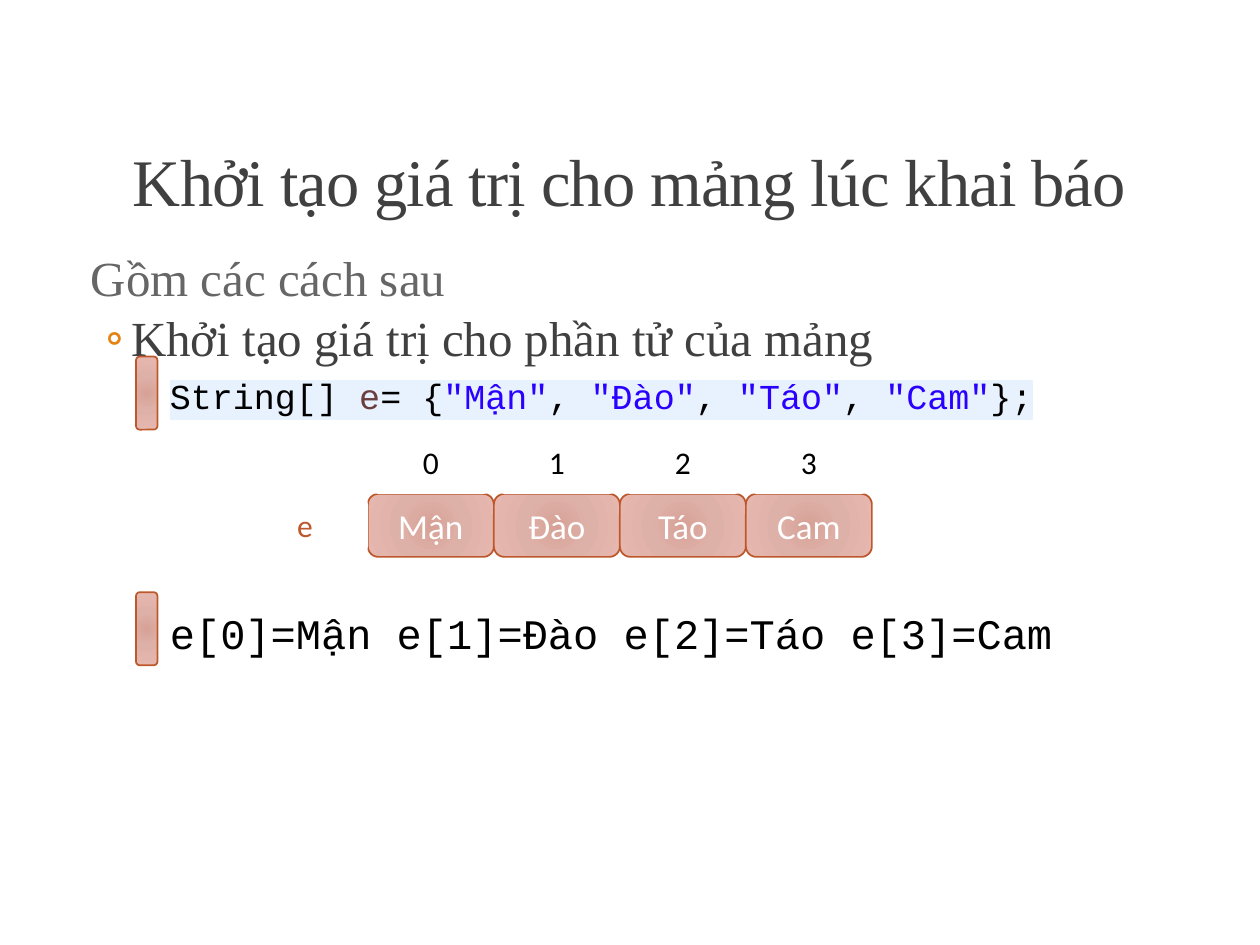
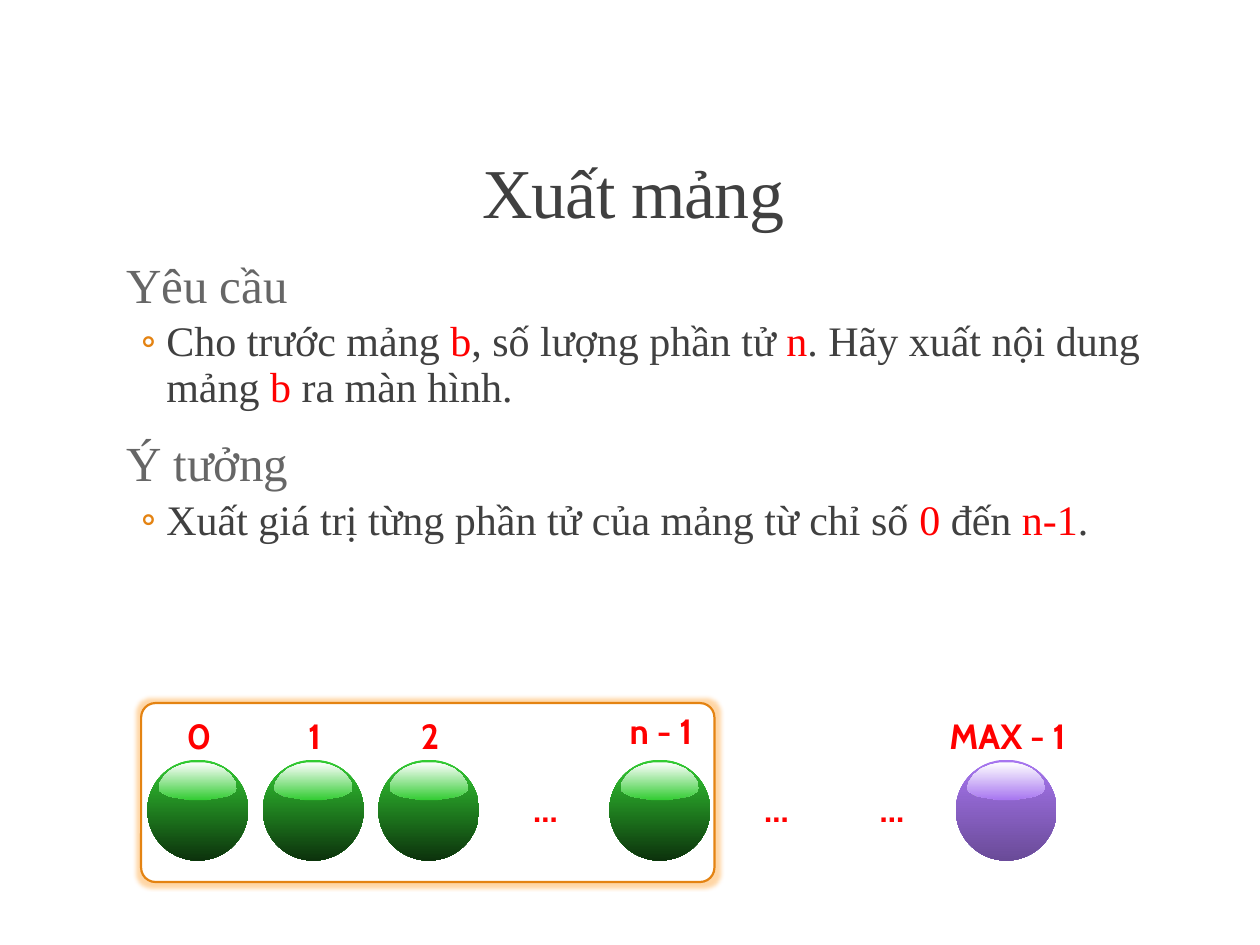
from dataclasses import dataclass

from lxml import etree
from pptx import Presentation
from pptx import util as u
from pptx.dml.color import RGBColor
from pptx.enum import shapes, text
from pptx.oxml import parse_xml
from pptx.oxml.ns import nsdecls, qn

Inches, Pt = u.Inches, u.Pt


@dataclass(frozen=True)
class Theme:
    serif: str = "Times New Roman"
    sans: str = "Calibri"
    mono: str = "Courier New"
    label: str = "Cabin"
    white: str = "FFFFFF"
    black: str = "000000"
    dark: str = "404040"
    gray: str = "666666"
    orange: str = "E48312"
    glow: str = "FF9A20"
    rust: str = "BD582C"
    red: str = "FF0000"
    variable: str = "6A3E3E"
    string: str = "2A00FF"
    highlight: str = "E8F2FE"
    clay: tuple = ((0, "D7A197"), (45, "DEB1A8"), (100, "E6B7AE"))
    green: tuple = ("33CC33", "0C320C")
    purple: tuple = ("A776F0", "6A4B98")
    title: int = 40
    long_title: int = 38
    heading: int = 28
    body: int = 24
    small: int = 20
    index: int = 18


THEME = Theme()
CENTER = text.PP_ALIGN.CENTER
MIDDLE = {"vertical_anchor": text.MSO_ANCHOR.MIDDLE, "word_wrap": False}
GROW = {"word_wrap": True, "auto_size": text.MSO_AUTO_SIZE.SHAPE_TO_FIT_TEXT}
TITLE_FRAME = {"word_wrap": True, "vertical_anchor": text.MSO_ANCHOR.BOTTOM}
BODY_FRAME = {"word_wrap": True, "margin_left": 0, "margin_right": 0}
HEADING = {"line_spacing": 0.9, "space_before": Pt(12), "space_after": Pt(2)}
POINT = {"line_spacing": 0.9, "space_before": Pt(2), "space_after": Pt(4)}

# Right half of the sphere's gloss, in hundredths of an inch from its top centre.
GLOSS_HALF = [(5, 0), (13, 2), (20, 5), (26, 10), (30, 16), (31, 21), (30, 23),
              (27, 25), (23, 27), (18, 28), (11, 29), (7, 30)]


def apply(target, values):
    for name, value in values.items():
        setattr(target, name, value)


def box(left, top, width, height):
    return [Inches(side) for side in (left, top, width, height)]


class Deck:
    def __init__(self, theme):
        self.theme = theme
        self.prs = Presentation()
        self.prs.slide_width, self.prs.slide_height = Inches(10), Inches(7.5)
        self.slide = None

    def new_slide(self):
        self.slide = self.prs.slides.add_slide(self.prs.slide_layouts[6])

    def add_runs(self, paragraph, runs, font, size, bold=False, highlight=None, spacing=None):
        """Add runs, each a pair of wording and colour, to the paragraph."""
        for wording, color in runs:
            run = paragraph.add_run()
            run.text = wording
            apply(run.font, {"name": font, "size": Pt(size), "bold": bold})
            run.font.color.rgb = RGBColor.from_string(color)
            props = run._r.get_or_add_rPr()
            if spacing:
                props.set("spc", str(spacing))
            if highlight:
                mark = parse_xml(f'<a:highlight {nsdecls("a")}>'
                                 f'<a:srgbClr val="{highlight}"/></a:highlight>')
                props.find(qn("a:latin")).addprevious(mark)

    def line(self, at, runs, font, size, frame=GROW, layout=None, **style):
        """Add a text box that holds one paragraph."""
        area = self.slide.shapes.add_textbox(*box(*at)).text_frame
        apply(area, frame)
        paragraph = area.paragraphs[0]
        apply(paragraph, layout or {})
        self.add_runs(paragraph, runs, font, size, **style)

    def title(self, at, wording, size):
        self.line(at, [(wording, self.theme.dark)], self.theme.serif, size, TITLE_FRAME,
                  {"alignment": CENTER, "line_spacing": 0.85}, spacing=-50)

    def outline(self, at, items):
        """Add headings (plain strings) and bullet points (size and runs)."""
        area = self.slide.shapes.add_textbox(*box(*at)).text_frame
        apply(area, BODY_FRAME)
        for number, item in enumerate(items):
            paragraph = area.add_paragraph() if number else area.paragraphs[0]
            props = paragraph._p.get_or_add_pPr()
            if isinstance(item, str):
                apply(paragraph, HEADING)
                props.set("marL", str(Inches(0.1)))
                self.add_runs(paragraph, [(item, self.theme.gray)],
                              self.theme.serif, self.theme.heading)
                continue
            size, runs = item
            apply(paragraph, {**POINT, "level": 1})
            props.set("marL", str(Inches(0.42)))
            props.set("indent", str(Inches(-0.2)))
            color = etree.SubElement(props, qn("a:buClr"))
            etree.SubElement(color, qn("a:srgbClr"), val=self.theme.orange)
            etree.SubElement(props, qn("a:buFont"), typeface=self.theme.sans)
            etree.SubElement(props, qn("a:buChar"), char="◦")
            self.add_runs(paragraph, runs, self.theme.serif, size)

    def paint(self, shape, fill, border=None, width=1):
        shape.shadow.inherit = False
        shape.fill.solid()
        shape.fill.fore_color.rgb = RGBColor.from_string(fill)
        if border:
            shape.line.color.rgb = RGBColor.from_string(border)
            shape.line.width = Pt(width)
        else:
            shape.line.fill.background()

    def blend(self, shape, stops, radial=False):
        """Replace the solid fill by a gradient, downward or from the centre."""
        marks = "".join(f'<a:gs pos="{place * 1000}"><a:srgbClr val="{color}"/></a:gs>'
                        for place, color in stops)
        course = ('<a:path path="circle"><a:fillToRect l="100000" t="100000" '
                  'r="100000" b="100000"/></a:path>' if radial
                  else '<a:lin ang="5400000" scaled="0"/>')
        gradient = parse_xml(f'<a:gradFill {nsdecls("a")} rotWithShape="1">'
                             f'<a:gsLst>{marks}</a:gsLst>{course}</a:gradFill>')
        props = shape._element.spPr
        props.replace(props.find(qn("a:solidFill")), gradient)

    def rounded(self, at, fill, border=None, width=1):
        shape = self.slide.shapes.add_shape(shapes.MSO_SHAPE.ROUNDED_RECTANGLE, *box(*at))
        self.paint(shape, fill, border, width)
        return shape

    def clay(self, at):
        shape = self.rounded(at, self.theme.clay[0][1], self.theme.rust)
        self.blend(shape, self.theme.clay, radial=True)
        return shape

    def caption(self, shape, wording, size, color):
        apply(shape.text_frame, MIDDLE)
        paragraph = shape.text_frame.paragraphs[0]
        paragraph.alignment = CENTER
        self.add_runs(paragraph, [(wording, color)], self.theme.sans, size)

    def index_label(self, at, wording, color):
        self.caption(self.rounded(at, self.theme.white), wording, self.theme.index, color)

    def glowing_frame(self, at):
        frame = self.rounded(at, self.theme.white, self.theme.orange, 1.25)
        frame.adjustments[0] = 0.08
        effects = frame._element.spPr.find(qn("a:effectLst"))
        glow = etree.SubElement(effects, qn("a:glow"), rad=str(Pt(5)))
        color = etree.SubElement(glow, qn("a:srgbClr"), val=self.theme.glow)
        etree.SubElement(color, qn("a:alpha"), val="40000")

    def sphere(self, left, top, colors):
        light, deep = colors
        group = self.slide.shapes.add_group_shape()
        ball = group.shapes.add_shape(shapes.MSO_SHAPE.OVAL, *box(left, top, 0.8, 0.8))
        mirrored = [(-x, y) for x, y in reversed(GLOSS_HALF)]
        start, *rest = GLOSS_HALF + mirrored
        builder = group.shapes.build_freeform(*start, scale=Inches(0.01))
        builder.add_line_segments(rest, close=True)
        gloss = builder.convert_to_shape(Inches(left + 0.4), Inches(top + 0.02))
        for shape, ends in ((ball, (light, deep)), (gloss, (self.theme.white, light))):
            self.paint(shape, light)
            self.blend(shape, zip((0, 100), ends))

    def red_label(self, center, top, width, wording):
        self.line((center - width / 2, top, width, 0.44), [(wording, self.theme.red)],
                  self.theme.label, self.theme.small, layout={"alignment": CENTER}, bold=True)


def array_initialisation(deck):
    theme = deck.theme
    fruits = ["Mận", "Đào", "Táo", "Cam"]
    deck.new_slide()
    deck.title((0.62, 1.03, 8.75, 0.77), "Khởi tạo giá trị cho mảng lúc khai báo",
               theme.long_title)
    deck.outline((0.62, 1.97, 8.25, 5.2), [
        "Gồm các cách sau",
        (theme.heading, [("Khởi tạo giá trị cho phần tử của mảng", theme.dark)]),
    ])
    for marker_top in (2.83, 4.7):
        deck.clay((1.08, marker_top, 0.17, 0.58))

    code = [("String[] ", theme.black), ("e", theme.variable), ("= {", theme.black)]
    for number, fruit in enumerate(fruits):
        if number:
            code.append((", ", theme.black))
        code.append((f'"{fruit}"', theme.string))
    code.append(("};", theme.black))
    deck.line((1.25, 2.92, 8, 0.44), code, theme.mono, theme.small,
              highlight=theme.highlight)

    for number, fruit in enumerate(fruits):
        left = 2.92 + number
        deck.caption(deck.clay((left, 3.92, 1, 0.5)), fruit, theme.small, theme.white)
        deck.index_label((left, 3.42, 1, 0.5), str(number), theme.black)
    deck.index_label((1.92, 3.92, 1, 0.5), "e", theme.rust)

    output = " ".join(f"e[{number}]={fruit}" for number, fruit in enumerate(fruits))
    deck.line((1.25, 4.77, 7.5, 0.5), [(output, theme.black)], theme.mono, theme.body)


def array_output(deck):
    theme = deck.theme
    dark, red = theme.dark, theme.red
    deck.new_slide()
    deck.title((0.9, 0.31, 8.25, 1.59), "Xuất mảng", theme.title)
    deck.outline((0.9, 2.02, 8.25, 4.4), [
        "Yêu cầu",
        (theme.body, [("Cho trước mảng ", dark), ("b", red),
                      (", số lượng phần tử ", dark), ("n", red),
                      (". Hãy xuất nội dung mảng ", dark), ("b", red),
                      (" ra màn hình.", dark)]),
        "Ý tưởng",
        (theme.body, [("Xuất giá trị từng phần tử của mảng từ chỉ số ", dark),
                      ("0 ", red), ("đến ", dark), ("n-1", red), (".", dark)]),
    ])
    deck.glowing_frame((1.12, 5.58, 4.55, 1.42))

    slots = ["0", "1", "2", "…", "n - 1", "…", "…", "MAX - 1"]
    label_widths = {"n - 1": 1, "MAX - 1": 1.33}
    for number, wording in enumerate(slots):
        offset = number * 11 / 12
        label_top = {"…": 6.2, "n - 1": 5.58}.get(wording, 5.62)
        if wording != "…":
            colors = theme.purple if wording == "MAX - 1" else theme.green
            deck.sphere(1.17 + offset, 6.03, colors)
        deck.red_label(1.58 + offset, label_top, label_widths.get(wording, 0.67), wording)


def main():
    deck = Deck(THEME)
    array_initialisation(deck)
    array_output(deck)
    deck.prs.save("out.pptx")


if __name__ == "__main__":
    main()
